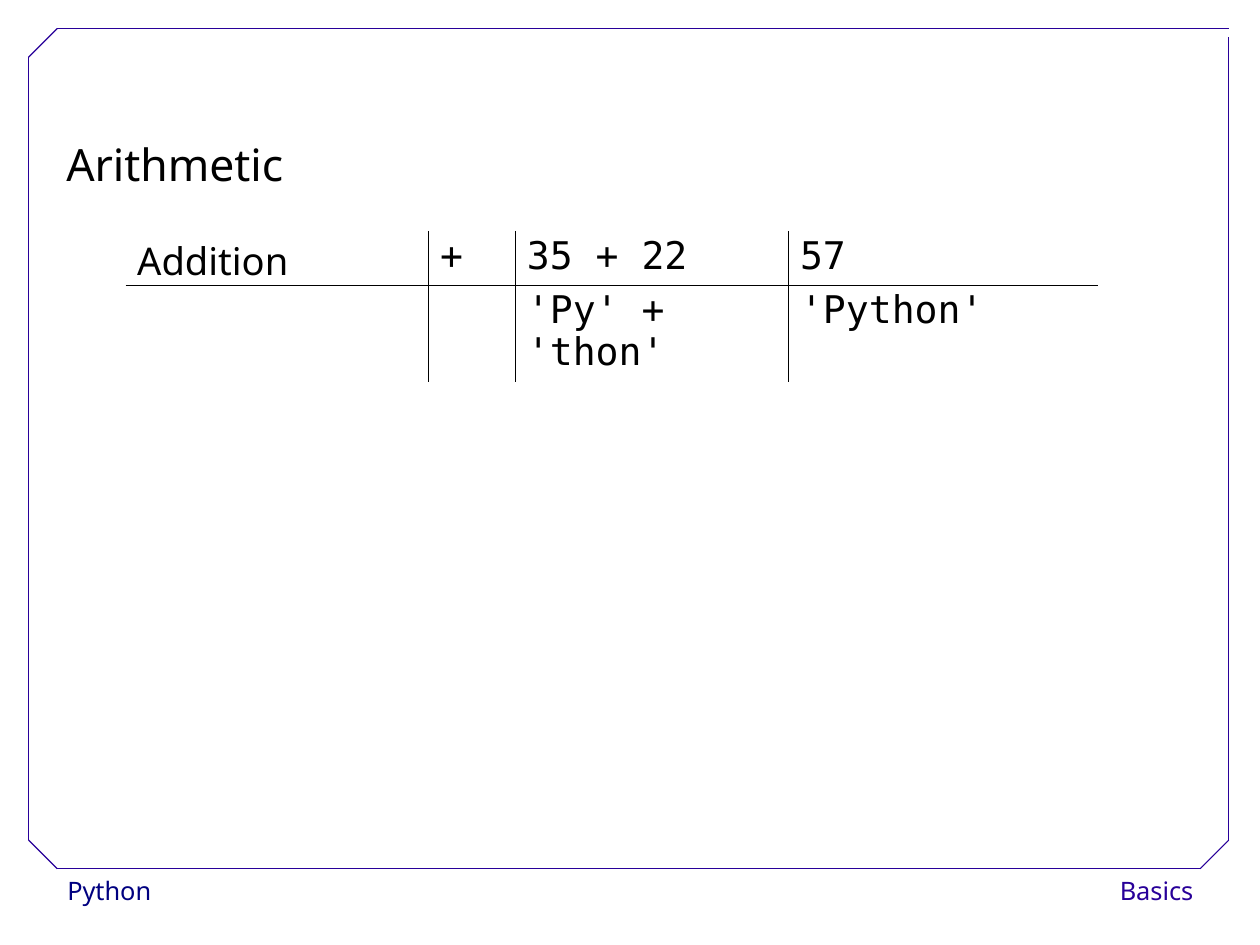
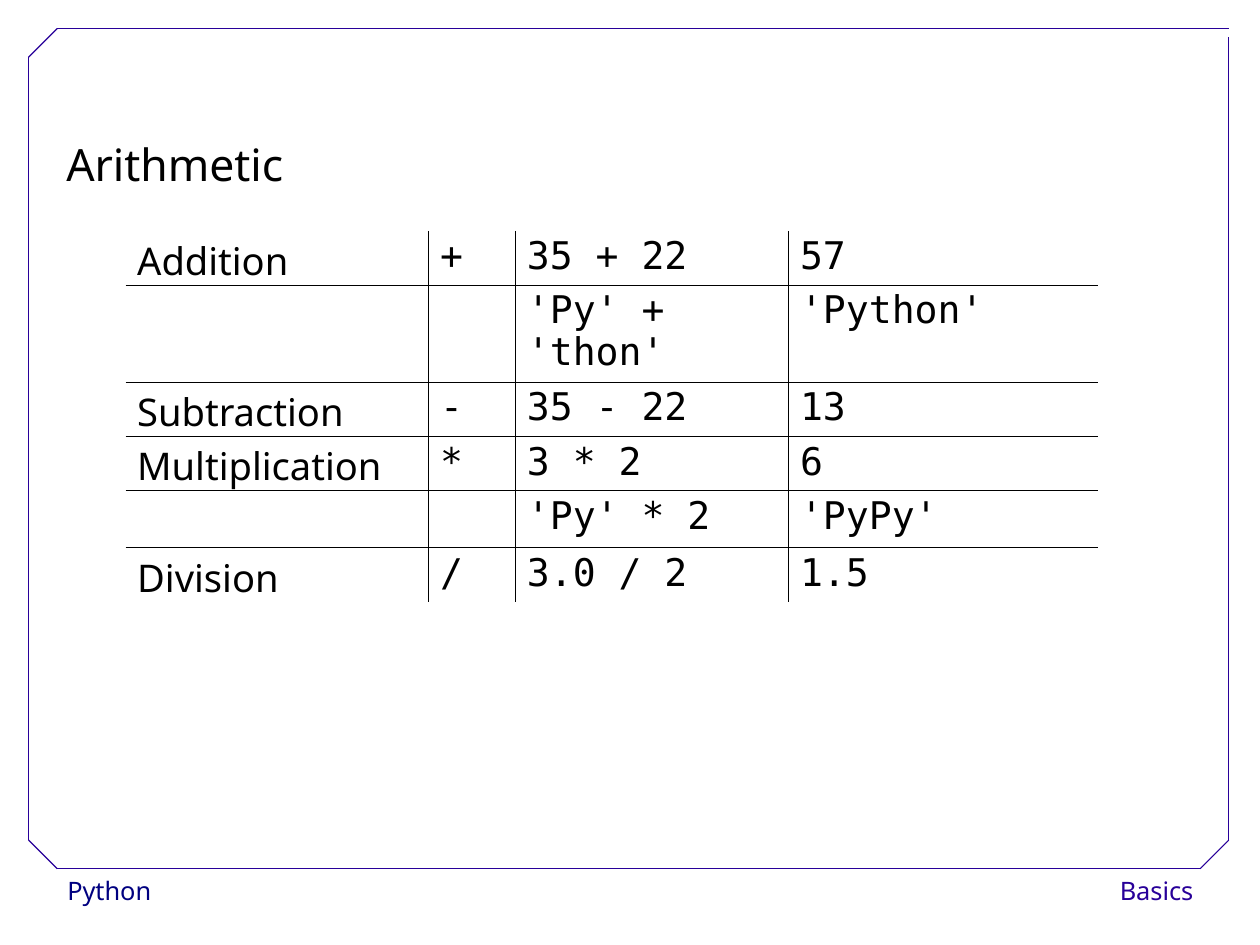
"""Build two slides on Python arithmetic with a shared frame and footer."""
from typing import Any, NamedTuple

from lxml.etree import SubElement
from pptx import Presentation
from pptx.dml.color import RGBColor
from pptx.enum.shapes import MSO_CONNECTOR, MSO_SHAPE
from pptx.enum.text import MSO_ANCHOR, MSO_AUTO_SIZE, PP_ALIGN
from pptx.oxml import parse_xml
from pptx.oxml.ns import nsdecls, qn
from pptx.util import Cm, Inches, Pt

GRID = 0.05
SANS, MONO = "Noto Sans", "DejaVu Sans Mono"
BLACK, WHITE, NAVY, VIOLET = "000000", "FFFFFF", "000080", "280099"
NO_STYLE = "{2D5ABB26-0587-4C30-8999-92F81FD0307C}"
BORDER = Pt(0.45)


class Box(NamedTuple):
    left: float
    top: float
    width: float
    height: float


class Footer(NamedTuple):
    text: str
    box: Box
    color: str
    align: PP_ALIGN


class Edge(NamedTuple):
    x1: float
    y1: float
    x2: float
    y2: float


class Operation(NamedTuple):
    name: str
    symbol: str
    expression: str
    result: str
    height: float = 9.4


LEFT, TOP, RIGHT, BOTTOM, CUT = 5, 5, 215, 152, 5
EDGES = [
    Edge(LEFT + CUT, BOTTOM, RIGHT - CUT, BOTTOM),
    Edge(LEFT, BOTTOM - CUT, LEFT, TOP + CUT),
    Edge(LEFT + CUT, TOP, RIGHT, TOP),
    Edge(RIGHT, BOTTOM - CUT, RIGHT, 6.4),
    Edge(LEFT, TOP + CUT, LEFT + CUT, TOP),
    Edge(RIGHT - CUT, BOTTOM, RIGHT, BOTTOM - CUT),
    Edge(LEFT, BOTTOM - CUT, LEFT + CUT, BOTTOM),
]
FOOTERS = [
    Footer("Python", Box(9.8, BOTTOM, 43, 8), NAVY, PP_ALIGN.LEFT),
    Footer("Basics", Box(182.8, BOTTOM, 28, 8), VIOLET, PP_ALIGN.RIGHT),
]
TITLE_BOX = Box(9.6, 18.4, 62, 16)
TABLE_LEFT, TABLE_TOP = 22, 40.4
COLUMNS = [53, 15.2, 47.8, 54.2]
OPERATIONS = [
    Operation("Addition", "+", "35 + 22", "57"),
    Operation("", "", "'Py' + 'thon'", "'Python'", 17),
    Operation("Subtraction", "-", "35 - 22", "13"),
    Operation("Multiplication", "*", "3 * 2", "6"),
    Operation("", "", "'Py' * 2", "'PyPy'", 10),
    Operation("Division", "/", "3.0 / 2", "1.5"),
]
SLIDES = [("Arithmetic", OPERATIONS[:2]), ("Arithmetic", OPERATIONS)]


def rgb(value: str) -> RGBColor:
    """Turn a hex string into a colour."""
    return RGBColor.from_string(value)


def units(*values: float) -> list[int]:
    """Turn grid steps into slide lengths."""
    return [Inches(v * GRID) for v in values]


def apply(target: Any, formats: dict[str, Any]) -> None:
    """Set each named attribute on an object."""
    for name, value in formats.items():
        setattr(target, name, value)


def write(tf: Any, text: str, size: float, color: str, font: str = SANS, **paragraph: Any) -> None:
    """Put one formatted run into a text frame."""
    p = tf.paragraphs[0]
    apply(p, paragraph)
    r = p.add_run()
    r.text = text
    apply(r.font, {"size": Pt(size), "name": font})
    r.font.color.rgb = rgb(color)


def add_footer(s: Any, footer: Footer) -> Any:
    """Draw one footer box."""
    sp = s.shapes.add_shape(MSO_SHAPE.RECTANGLE, *units(*footer.box))
    sp.shadow.inherit = False
    sp.fill.solid()
    sp.fill.fore_color.rgb = rgb(WHITE)
    sp.line.fill.background()
    apply(sp.text_frame, {"word_wrap": True, "vertical_anchor": MSO_ANCHOR.TOP})
    write(sp.text_frame, footer.text, 16, footer.color, alignment=footer.align, line_spacing=1.02)
    return sp


def add_edge(s: Any, edge: Edge) -> Any:
    """Draw one side of the frame."""
    line = s.shapes.add_connector(MSO_CONNECTOR.STRAIGHT, *units(*edge))
    line.line.width = Pt(0.75)
    line.line.color.rgb = rgb(VIOLET)
    SubElement(line.element.spPr, qn("a:effectLst"))
    return line


def share_frame(s: Any) -> None:
    """Draw the footers and frame and move them to the layout."""
    parts = [add_footer(s, f) for f in FOOTERS] + [add_edge(s, e) for e in EDGES]
    for part in parts:
        s.slide_layout.shapes.element.append(part.element)


def set_title(s: Any, text: str) -> None:
    """Place and format the title."""
    sp = s.shapes.title
    apply(sp, dict(zip(Box._fields, units(*TITLE_BOX))))
    apply(sp.text_frame, {"word_wrap": True, "auto_size": MSO_AUTO_SIZE.NONE,
                          "vertical_anchor": MSO_ANCHOR.MIDDLE})
    write(sp.text_frame, text, 28, BLACK, alignment=PP_ALIGN.LEFT,
          line_spacing=1.5, space_before=Pt(0))


def set_borders(cell: Any, sides: list[str]) -> None:
    """Add thin borders to the given sides of a cell."""
    for i, side in enumerate(sides):
        cell._tc.get_or_add_tcPr().insert(i, parse_xml(
            f'<a:ln{side} {nsdecls("a")} w="{BORDER}"><a:solidFill>'
            f'<a:srgbClr val="{BLACK}"/></a:solidFill></a:ln{side}>'))


def add_operations(s: Any, operations: list[Operation]) -> None:
    """Draw the table with inner grid lines only."""
    size = sum(COLUMNS), sum(op.height for op in operations)
    last_row, last_col = len(operations) - 1, len(COLUMNS) - 1
    table = s.shapes.add_table(last_row + 1, last_col + 1,
                               *units(TABLE_LEFT, TABLE_TOP, *size)).table
    apply(table, {"first_row": False, "horz_banding": False})
    table._tbl.tblPr.find(qn("a:tableStyleId")).text = NO_STYLE
    for column, width in zip(table.columns, units(*COLUMNS)):
        column.width = width
    for i, op in enumerate(operations):
        table.rows[i].height = units(op.height)[0]
        for j, text in enumerate(op[:-1]):
            cell = table.cell(i, j)
            cell.fill.background()
            cell.margin_bottom = Inches(0.05 if j else 0)
            inner = {"L": j > 0, "R": j < last_col, "T": i > 0, "B": i < last_row}
            set_borders(cell, [side for side, shown in inner.items() if shown])
            if text:
                write(cell.text_frame, text, 24, BLACK, MONO if j else SANS,
                      line_spacing=0.93, space_after=Pt(14.3))


def main() -> None:
    """Build and save the presentation."""
    prs = Presentation()
    prs.slide_width = Cm(28)
    prs.slide_height = Cm(21)
    layout = prs.slide_layouts.get_by_name("Title Only")
    for i, (title, operations) in enumerate(SLIDES):
        s = prs.slides.add_slide(layout)
        if i == 0:
            share_frame(s)
        set_title(s, title)
        add_operations(s, operations)
    prs.save("out.pptx")


if __name__ == "__main__":
    main()
